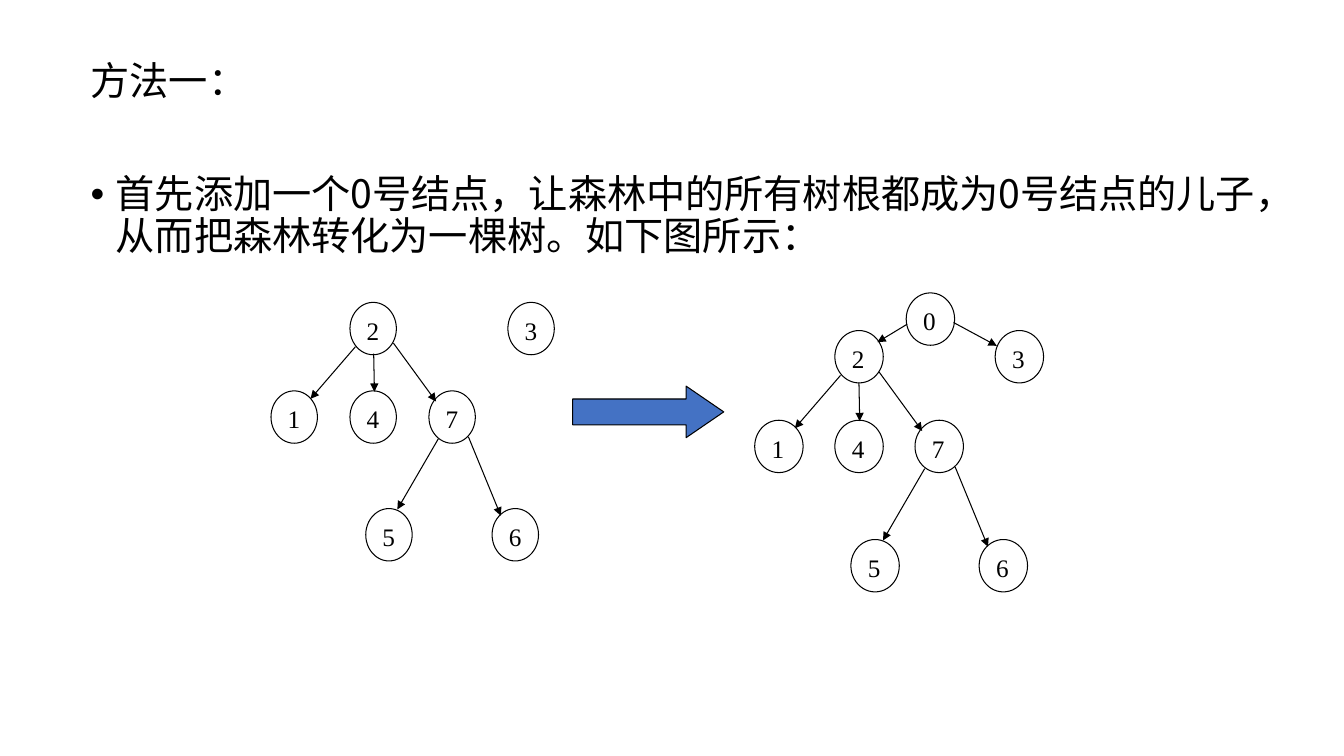
from lxml import etree
from pptx import Presentation
from pptx.dml.color import RGBColor
from pptx.enum.shapes import MSO_CONNECTOR, MSO_SHAPE
from pptx.enum.text import MSO_ANCHOR, MSO_AUTO_SIZE, PP_ALIGN
from pptx.oxml.ns import qn
from pptx.util import Cm, Pt

LINE = MSO_CONNECTOR.STRAIGHT
OVAL = MSO_SHAPE.OVAL
ARROW = MSO_SHAPE.RIGHT_ARROW
TOP = MSO_ANCHOR.TOP
JUST = PP_ALIGN.JUSTIFY
NO_FIT = MSO_AUTO_SIZE.NONE

COLORS = {"ink": "000000", "node": "FFFFFF", "arrow": "4472C4"}
SANS = "Noto Sans CJK SC"
SERIF = "Times New Roman"


def color(name):
    return RGBColor.from_string(COLORS[name])


def paint(shape, fill):
    shape.shadow.inherit = False
    shape.fill.solid()
    shape.fill.fore_color.rgb = color(fill)
    shape.line.color.rgb = color("ink")
    shape.line.width = Pt(0.75)


prs = Presentation()
prs.slide_width, prs.slide_height = Cm(33.87), Cm(19.05)
slide = prs.slides.add_slide(prs.slide_layouts[1])
title = slide.shapes.title.element
title.getparent().remove(title)

body = slide.placeholders[1]
body.left, body.top = Cm(2.03), Cm(1.42)
body.width, body.height = Cm(30.33), Cm(16.99)
frame = body.text_frame
frame.auto_size = NO_FIT
frame.vertical_anchor = TOP
frame.text = "方法一：\n首先添加一个0号结点，让森林中的所有树根都成为0号结点的儿子，从而把森林转化为一棵树。如下图所示："
for para, gap, dent, mark in zip(
    frame.paragraphs, (10, 50.7), (0, 0.635), ("buNone", "buChar")
):
    para.line_spacing = 0.9
    para.space_before = Pt(gap)
    para.font.size = Pt(28)
    para.font.name = SANS
    para.font.color.rgb = color("ink")
    for run in para.runs:
        east = etree.SubElement(run.font._element, qn("a:ea"))
        east.set("typeface", SANS)
    props = para._p.get_or_add_pPr()
    props.set("marL", str(Cm(dent)))
    props.set("indent", str(-Cm(dent)))
    bullet = etree.Element(qn("a:" + mark))
    if mark == "buChar":
        bullet.set("char", "•")
    props.find(qn("a:defRPr")).addprevious(bullet)

nodes = [
    ("2", 1, 0), ("1", 0, 1), ("5", 1.2, 2.33), ("7", 2, 1),
    ("3", 3, 0), ("4", 1, 1), ("6", 2.8, 2.33),
]
edges = [
    (1.07, 0.5, 0.5, 1.09),
    (1.3, 0.58, 1.31, 1.01),
    (1.55, 0.46, 2.09, 1.12),
    (2.12, 1.54, 1.6, 2.34),
    (2.5, 1.52, 2.91, 2.41),
]
root = [("0", 1.89, -0.42)]
links = [(1.9, -0.07, 1.53, 0.13), (2.48, -0.09, 3.02, 0.17)]

trees = [
    (19.02, 8.33, 2.02, 2.26, 1.22, nodes + root, edges + links),
    (6.83, 7.62, 1.99, 2.23, 1.17, nodes, edges),
]
for left, top, col, row, wide, spots, lines in trees:
    tree = slide.shapes.add_group_shape().shapes
    for label, x, y in spots:
        node = tree.add_shape(
            OVAL, Cm(left + x * col), Cm(top + y * row), Cm(wide), Cm(1.32)
        )
        paint(node, "node")
        node.text_frame.text = label
        node.text_frame.vertical_anchor = TOP
        para = node.text_frame.paragraphs[0]
        para.alignment = JUST
        para.font.size = Pt(18)
        para.font.name = SERIF
        para.font.color.rgb = color("ink")
    for x1, y1, x2, y2 in lines:
        edge = tree.add_connector(
            LINE,
            Cm(left + x1 * col), Cm(top + y1 * row),
            Cm(left + x2 * col), Cm(top + y2 * row),
        )
        edge.line.color.rgb = color("ink")
        edge.line.width = Pt(0.75)
        tip = etree.SubElement(edge.line._get_or_add_ln(), qn("a:tailEnd"))
        tip.set("type", "triangle")
        etree.SubElement(edge._element.spPr, qn("a:effectLst"))

arrow = slide.shapes.add_shape(ARROW, Cm(14.43), Cm(9.73), Cm(3.81), Cm(1.3))
paint(arrow, "arrow")
arrow.adjustments[1] = 0.73

prs.save("out.pptx")
